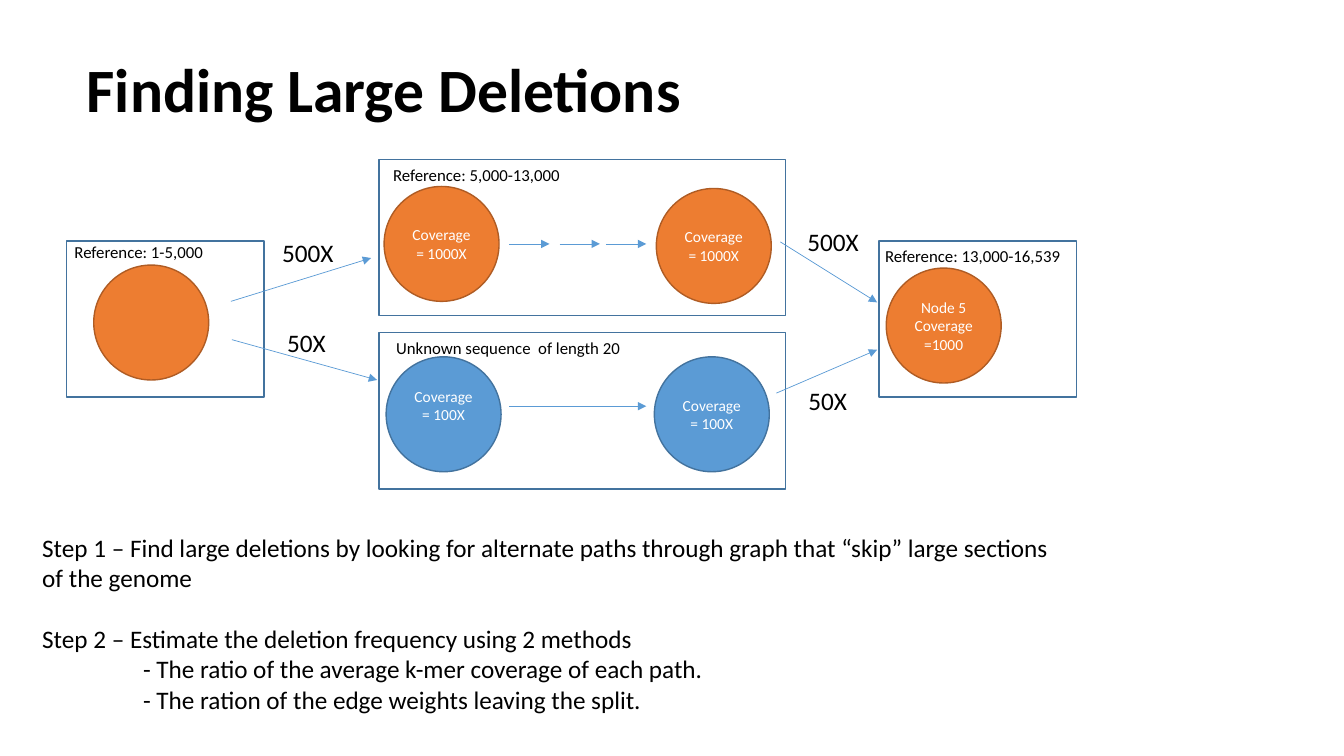
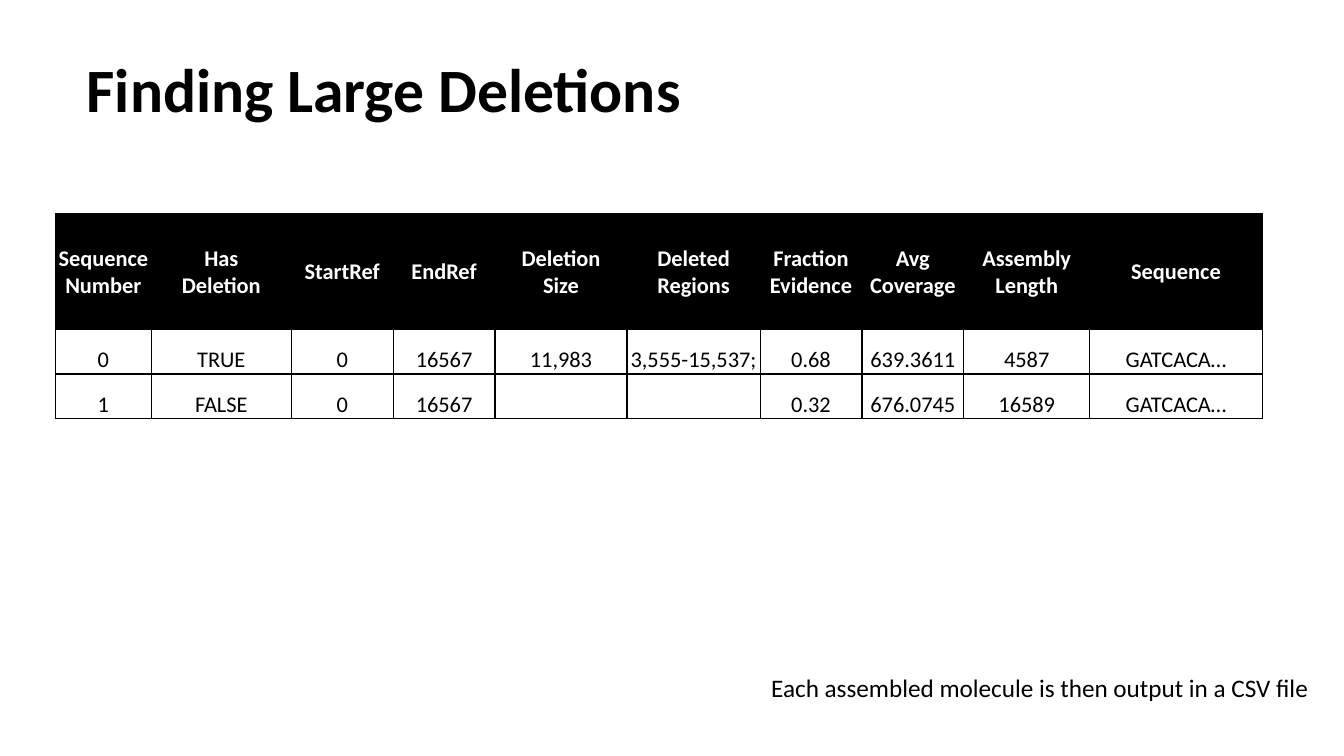
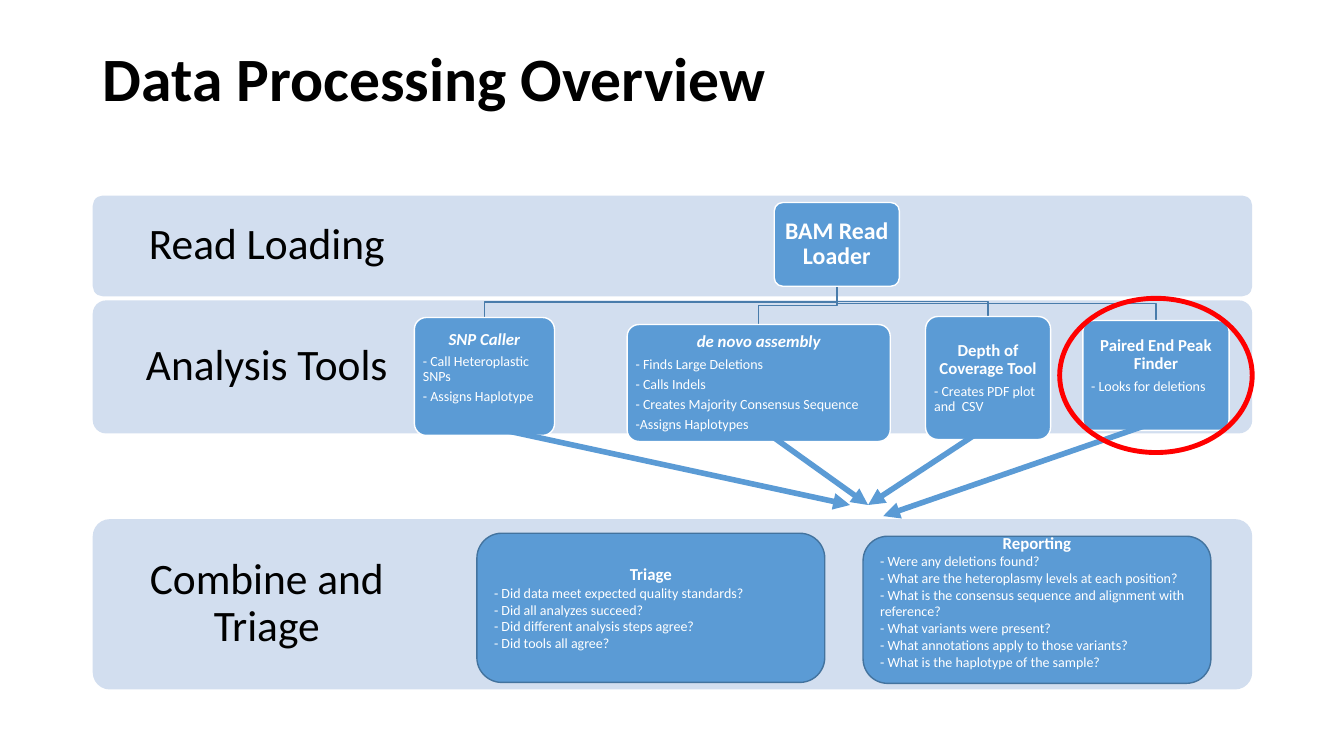
from pptx import Presentation
from pptx.dml.color import RGBColor
from pptx.enum.shapes import MSO_CONNECTOR, MSO_SHAPE
from pptx.enum.text import MSO_ANCHOR, MSO_AUTO_SIZE, PP_ALIGN
from pptx.oxml.ns import qn
from pptx.util import Inches, Pt
from lxml.etree import SubElement

FONT = "Calibri"
COLORS = {
    "black": "000000", "white": "FFFFFF", "red": "FF0000",
    "blue": "5B9BD5", "blue_edge": "43739E", "tree_line": "497CAB",
    "orange": "ED7D31", "orange_edge": "AF5C24", "band": "D2DEEF",
}

# Slide 1: the two paths through the graph
DELETIONS_TITLE = ("Finding Large Deletions", (0.76, 0.19, 11.5, 1.45))
FRAME_HEIGHT = 1.55
FRAMES = [(0.66, 2.39, 1.96), (3.76, 1.58, 4.03), (3.76, 3.3, 4.03), (8.72, 2.39, 1.96)]
NODE_SIZE = 1.14
NODES = [  # left, top, color, text, extra space below the text
    (0.93, 2.63, "orange", "", 0),
    (3.81, 1.85, "orange", "Coverage\n= 1000X", 0),
    (6.51, 1.87, "orange", "Coverage\n= 1000X", 0),
    (3.83, 3.54, "blue", "Coverage\n= 100X", 0.18),
    (6.49, 3.54, "blue", "Coverage\n= 100X", 0),
    (8.79, 2.66, "orange", "Node 5\nCoverage\n=1000", 0),
]
GRAPH_ARROWS = [
    (2.29, 2.99, 3.68, 2.56), (2.3, 3.37, 3.74, 3.77),
    (5.05, 2.42, 5.45, 2.42), (5.55, 2.42, 5.95, 2.42), (6.01, 2.42, 6.41, 2.42),
    (5.05, 4.03, 6.41, 4.03),
    (7.74, 2.4, 8.7, 3), (7.7, 3.9, 8.7, 3.47),
]
FRAME_LABELS = [
    (0.64, 2.35, "Reference: 1-5,000"),
    (3.8, 1.59, "Reference: 5,000-13,000"),
    (3.83, 3.3, "Unknown sequence  of length 20"),
    (8.68, 2.39, "Reference: 13,000-16,539"),
]
EDGE_LABELS = [(2.7, 2.31, "500X"), (7.91, 2.2, "500X"), (2.75, 3.2, "50X"), (7.92, 3.77, "50X")]
STEPS = [
    "Step 1 – Find large deletions by looking for alternate paths through graph "
    "that “skip” large sections of the genome",
    "Step 2 – Estimate the deletion frequency using 2 methods",
    "- The ratio of the average k-mer coverage of each path.",
    "- The ration of the edge weights leaving the split.",
]

# Slide 2: the output table
COLUMN_WIDTHS = [0.95, 1.39, 1.01, 1.01, 1.31, 1.32, 1.01, 1.01, 1.25, 1.71]
ROW_HEIGHTS = [1.15, 0.44, 0.44]
TABLE_ROWS = [
    ["Sequence\nNumber", "Has\nDeletion", "StartRef", "EndRef", "Deletion\nSize",
     "Deleted\nRegions", "Fraction\nEvidence", "Avg\nCoverage", "Assembly\nLength", "Sequence"],
    ["0", "TRUE", "0", "16567", "11,983", "3,555-15,537;", "0.68", "639.3611", "4587", "GATCACA…"],
    ["1", "FALSE", "0", "16567", "", "", "0.32", "676.0745", "16589", "GATCACA…"],
]
TABLE_NOTE = "Each assembled molecule is then output in a CSV file"

# Slide 3: the processing overview
OVERVIEW_TITLE = ("Data Processing Overview", (0.92, 0.4, 11.5, 0.82))
BANDS = [("Read Loading", 1.94, 1), ("Analysis Tools", 2.98, 1.32), ("Combine and Triage", 5.15, 1.69)]
LOADER = (7.68, 2.01, 1.24, 0.83)
TOOLS = [  # position, heading, italic, notes, extra space below the text
    ((4.11, 3.15, 1.39, 1.17), "SNP Caller", True,
     ["- Call Heteroplastic SNPs", "- Assigns Haplotype"], 0.17),
    ((6.22, 3.22, 2.61, 1.16), "de novo assembly", True,
     ["- Finds Large Deletions", "- Calls Indels",
      "- Creates Majority Consensus Sequence", "-Assigns Haplotypes"], 0),
    ((9.18, 3.14, 1.24, 1.22), "Depth of Coverage Tool", False,
     ["- Creates PDF plot and  CSV"], 0),
    ((10.74, 3.18, 1.45, 1.09), "Paired End Peak Finder", False,
     ["- Looks for deletions"], 0.19),
]
RESULTS = [
    ((4.73, 5.29, 3.45, 1.48), "Triage",
     ["- Did data meet expected quality standards?", "- Did all analyzes succeed?",
      "- Did different analysis steps agree?", "- Did tools all agree?"], 0),
    ((8.56, 5.32, 3.45, 1.46), "Reporting",
     ["- Were any deletions found?", "- What are the heteroplasmy levels at each position?",
      "- What is the consensus sequence and alignment with reference?",
      "- What variants were present?", "- What annotations apply to those variants?",
      "- What is the haplotype of the sample?"], 0.17),
]
RESULT_ARROWS = [
    (4.78, 4.22, 8.43, 5.01), (7.66, 4.33, 8.61, 5.01),
    (9.69, 4.3, 8.61, 5.01), (11.51, 4.17, 8.76, 5.12),
]
HIGHLIGHT = (10.51, 2.96, 1.91, 1.53)


def rgb(name):
    return RGBColor.from_string(COLORS[name])


def inches(values):
    return [Inches(value) for value in values]


def style(para, size, color="black", align=PP_ALIGN.LEFT, bold=False, italic=False):
    para.alignment = align
    font = para.font
    font.name, font.size, font.bold, font.italic = FONT, Pt(size), bold, italic
    font.color.rgb = rgb(color)


def write(frame, text, size, **look):
    frame.word_wrap = True
    frame.text = text
    for para in frame.paragraphs:
        style(para, size, **look)


def tighten(frame):
    """Line and paragraph spacing of the bands and tool cards."""
    for para in frame.paragraphs:
        para.line_spacing = 0.9
        para.space_after = Pt(round(para.font.size.pt * 0.35, 1))


def set_margins(frame, size, extra_bottom=0):
    frame.margin_left = frame.margin_top = frame.margin_right = Inches(size)
    frame.margin_bottom = Inches(size + extra_bottom)


def add_titled_slide(deck, text, position):
    slide = deck.slides.add_slide(deck.slide_layouts[5])
    title = slide.shapes.title
    title.left, title.top, title.width, title.height = inches(position)
    frame = title.text_frame
    write(frame, text, 44, bold=True)
    frame.auto_size = MSO_AUTO_SIZE.NONE
    frame.vertical_anchor = MSO_ANCHOR.MIDDLE
    frame.paragraphs[0].line_spacing = 0.9
    return slide


def add_text(slide, position, text, size, **look):
    frame = slide.shapes.add_textbox(*inches(position)).text_frame
    write(frame, text, size, **look)
    return frame


def paint(shape, fill=None, edge=None, width=1):
    shape.shadow.inherit = False
    if fill:
        shape.fill.solid()
        shape.fill.fore_color.rgb = rgb(fill)
    else:
        shape.fill.background()
    if edge:
        shape.line.color.rgb = rgb(edge)
        shape.line.width = Pt(width)
    else:
        shape.line.fill.background()


def add_shape(slide, kind, position, fill=None, edge=None, width=1, corner=None):
    shape = slide.shapes.add_shape(kind, *inches(position))
    paint(shape, fill, edge, width)
    if corner:
        shape.adjustments[0] = corner
    shape.text_frame.vertical_anchor = MSO_ANCHOR.MIDDLE
    return shape


def add_arrow(slide, ends, width):
    arrow = slide.shapes.add_connector(MSO_CONNECTOR.STRAIGHT, *inches(ends))
    arrow.line.color.rgb = rgb("blue")
    arrow.line.width = Pt(width)
    properties = arrow.element.spPr
    SubElement(properties.find(qn("a:ln")), qn("a:tailEnd"), type="triangle")
    SubElement(properties, qn("a:effectLst"))


def write_card(frame, heading, notes, italic=False):
    write(frame, "\n".join([heading, *notes]), 10, color="white")
    style(frame.paragraphs[0], 12, "white", PP_ALIGN.CENTER, True, italic)


def add_branch(slide, tool_position):
    """Draw the bent line from the loader down to the top of a tool."""
    start_x, start_y = LOADER[0] + LOADER[2] / 2, LOADER[1] + LOADER[3]
    left, top, width, _ = tool_position
    end_x, middle_y = left + width / 2, (start_y + top) / 2
    builder = slide.shapes.build_freeform(Inches(start_x), Inches(start_y))
    corners = [(start_x, middle_y), (end_x, middle_y), (end_x, top)]
    builder.add_line_segments([inches(corner) for corner in corners], close=False)
    paint(builder.convert_to_shape(), edge="tree_line")


def border_cell(cell):
    properties = cell._tc.get_or_add_tcPr()
    for index, side in enumerate(("a:lnL", "a:lnR", "a:lnT", "a:lnB")):
        line = SubElement(properties, qn(side), w=str(Pt(1)))
        SubElement(SubElement(line, qn("a:solidFill")), qn("a:srgbClr"), val=COLORS["black"])
        properties.insert(index, line)


def build_graph_slide(deck):
    slide = add_titled_slide(deck, *DELETIONS_TITLE)
    for frame_position in FRAMES:
        add_shape(slide, MSO_SHAPE.RECTANGLE, (*frame_position, FRAME_HEIGHT), edge="blue_edge")
    for left, top, color, text, extra in NODES:
        node = add_shape(slide, MSO_SHAPE.OVAL, (left, top, NODE_SIZE, NODE_SIZE),
                         color, color + "_edge")
        if text:
            write(node.text_frame, text, 11, color="white", align=PP_ALIGN.CENTER)
            node.text_frame.margin_bottom = Inches(0.05 + extra)
    for ends in GRAPH_ARROWS:
        add_arrow(slide, ends, 0.5)
    for left, top, text in FRAME_LABELS:
        add_text(slide, (left, top, 2.68, 0.3), text, 12)
    for left, top, text in EDGE_LABELS:
        add_text(slide, (left, top, 0.72, 0.4), text, 18)
    steps = add_text(slide, (0.32, 5.23, 10.19, 2.22), "\n".join(STEPS), 18)
    steps.paragraphs[1].space_before = Pt(22)
    for para in steps.paragraphs[2:]:
        para._p.get_or_add_pPr().set("marL", str(Inches(1)))


def build_table_slide(deck):
    slide = add_titled_slide(deck, *DELETIONS_TITLE)
    position = (0.55, 2.12, sum(COLUMN_WIDTHS), sum(ROW_HEIGHTS))
    table = slide.shapes.add_table(len(TABLE_ROWS), len(COLUMN_WIDTHS), *inches(position)).table
    for column, width in zip(table.columns, COLUMN_WIDTHS):
        column.width = Inches(width)
    for row_index, (row, height) in enumerate(zip(table.rows, ROW_HEIGHTS)):
        row.height = Inches(height)
        header = row_index == 0
        for cell, text in zip(row.cells, TABLE_ROWS[row_index]):
            write(cell.text_frame, text, 16, color="white" if header else "black",
                  align=PP_ALIGN.CENTER, bold=header)
            cell.margin_left = cell.margin_right = cell.margin_top = Inches(0.01)
            cell.margin_bottom = 0
            cell.vertical_anchor = MSO_ANCHOR.MIDDLE if header else MSO_ANCHOR.BOTTOM
            cell.fill.solid()
            cell.fill.fore_color.rgb = rgb("black" if header else "white")
            border_cell(cell)
    add_text(slide, (7.55, 6.62, 5.75, 0.4), TABLE_NOTE, 18)


def build_overview_slide(deck):
    slide = add_titled_slide(deck, *OVERVIEW_TITLE)
    rounded = MSO_SHAPE.ROUNDED_RECTANGLE
    for text, top, height in BANDS:
        add_shape(slide, rounded, (0.92, top, 11.5, height), "band", corner=0.1)
        label = add_text(slide, (0.92, top, 3.45, height), text, 31, align=PP_ALIGN.CENTER)
        label.vertical_anchor = MSO_ANCHOR.MIDDLE
        set_margins(label, 0.24)
        tighten(label)

    for tool in TOOLS:
        add_branch(slide, tool[0])
    loader = add_shape(slide, rounded, LOADER, "blue", "white", corner=0.1).text_frame
    write(loader, "BAM Read Loader", 17, color="white", align=PP_ALIGN.CENTER, bold=True)
    set_margins(loader, 0.07)
    tighten(loader)
    for position, heading, italic, notes, extra in TOOLS:
        card = add_shape(slide, rounded, position, "blue", "white", corner=0.1).text_frame
        write_card(card, heading, notes, italic)
        set_margins(card, 0.05, extra)
        tighten(card)

    for position, heading, notes, extra in RESULTS:
        card = add_shape(slide, rounded, position, "blue", "blue_edge").text_frame
        write_card(card, heading, notes)
        card.margin_bottom = Inches(0.05 + extra)
    for ends in RESULT_ARROWS:
        add_arrow(slide, ends, 4)
    add_shape(slide, MSO_SHAPE.OVAL, HIGHLIGHT, edge="red", width=3.5)


def main():
    deck = Presentation()
    deck.slide_width, deck.slide_height = Inches(13.33), Inches(7.5)
    build_graph_slide(deck)
    build_table_slide(deck)
    build_overview_slide(deck)
    deck.save("out.pptx")


if __name__ == "__main__":
    main()
